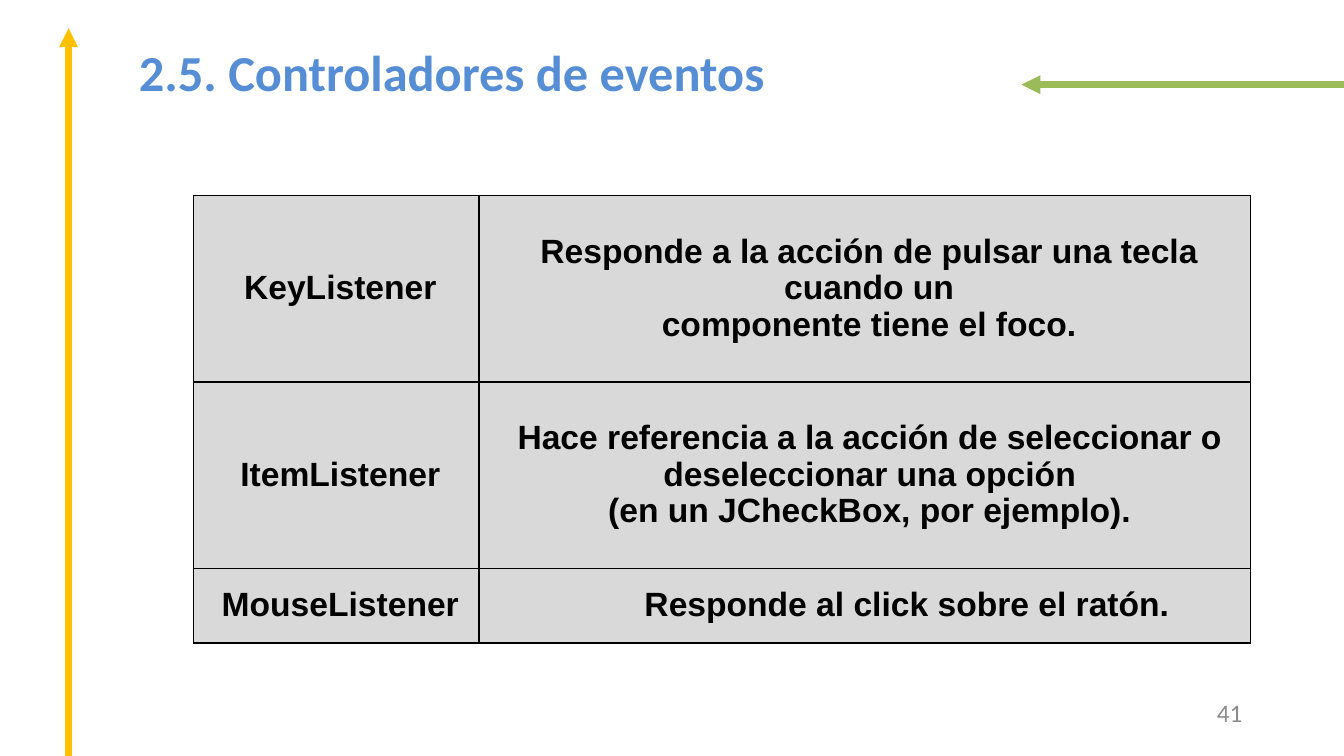
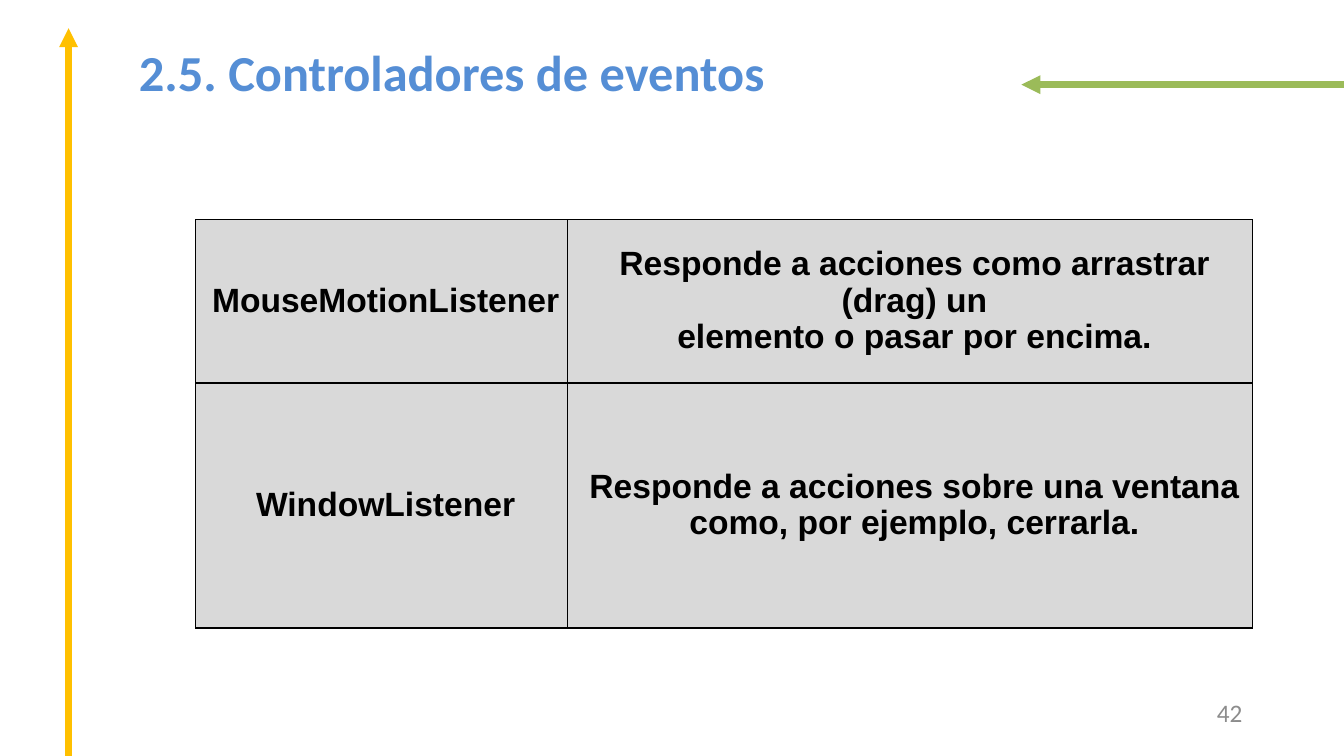
import pptx
import pptx.util
import pptx.dml.color
import pptx.enum.shapes
import pptx.enum.text
import pptx.oxml
import pptx.oxml.ns
from dataclasses import dataclass

ALIGN = pptx.enum.text.PP_ALIGN
MIDDLE = pptx.enum.text.MSO_ANCHOR.MIDDLE
NS = pptx.oxml.ns.nsdecls("a")


@dataclass(frozen=True)
class Theme:
    """Colours, fonts, sizes and slide measures shared by all slides."""
    wide: float = 13.33
    high: float = 7.5
    blue: str = "558ED5"
    green: str = "9BBB59"
    gold: str = "FFC000"
    gray: str = "8C8C8C"
    fill: str = "D9D9D9"
    ink: str = "000000"
    head: str = "Calibri"
    body: str = "Arial"
    title: int = 36
    cell: int = 24
    foot: int = 18
    arrow: float = 4.5
    edge: int = 1


THEME = Theme()
TITLE = "2.5. Controladores de eventos"
FIRST = 41
PAGES = [
    dict(box=(1.92, 1.94, 10.48, 4.44), cols=(2.83, 7.65), rows=(1.85, 1.85, 0.74), cells=[
        [("KeyListener", 0.08),
         ("Responde a la acción de pulsar una tecla cuando un\n"
          "componente tiene el foco.", 0.09)],
        [("ItemListener", 0.08),
         ("Hace referencia a la acción de seleccionar o deseleccionar una opción\n"
          "(en un JCheckBox, por ejemplo).", 0.1)],
        [("MouseListener", 0.08), ("Responde al click sobre el ratón.", 0.84)],
    ]),
    dict(box=(1.94, 2.18, 10.48, 4.05), cols=(3.69, 6.79), rows=(1.62, 2.43), cells=[
        [("MouseMotionListener", 0.08),
         ("Responde a acciones como arrastrar (drag) un\n"
          "elemento o pasar por encima.", 0.09)],
        [("WindowListener", 0.08),
         ("Responde a acciones sobre una ventana como, por ejemplo, cerrarla.", 0.09)],
    ]),
]


def inch(*sizes):
    """Turn numbers into lengths in inches."""
    return [pptx.util.Inches(size) for size in sizes]


def tint(code):
    """Turn a hex code into a colour."""
    return pptx.dml.color.RGBColor.from_string(code)


def write(frame, text, font, size, color, bold=False, align=ALIGN.LEFT, lead=1.0):
    """Fill a text frame with one paragraph for each line of text."""
    frame.word_wrap = True
    for num, line in enumerate(text.split("\n")):
        para = frame.add_paragraph() if num else frame.paragraphs[0]
        para.alignment = align
        para.line_spacing = lead
        run = para.add_run()
        run.text = line
        run.font.name = font
        run.font.size = pptx.util.Pt(size)
        run.font.bold = bold
        run.font.color.rgb = tint(color)


def label(slide, box, text, **form):
    """Place a vertically centred line of text in a box."""
    frame = slide.shapes.add_textbox(*inch(*box)).text_frame
    frame.vertical_anchor = MIDDLE
    write(frame, text, **form)


def arrow(slide, start, end, color):
    """Draw a thick line with an arrowhead at its end."""
    kind = pptx.enum.shapes.MSO_CONNECTOR.STRAIGHT
    line = slide.shapes.add_connector(kind, *inch(*start, *end))
    line.line.color.rgb = tint(color)
    line.line.width = pptx.util.Pt(THEME.arrow)
    line.line._get_or_add_ln().append(
        pptx.oxml.parse_xml(f'<a:tailEnd {NS} type="triangle"/>'))
    line._element.spPr.append(pptx.oxml.parse_xml(f"<a:effectLst {NS}/>"))


def frame(slide, number):
    """Place the arrows, the title and the page number of a slide."""
    wide, high = THEME.wide, THEME.high
    arrow(slide, (wide, 0.84), (0.76 * wide, 0.84), THEME.green)
    arrow(slide, (0.68, high), (0.68, 0.28), THEME.gold)
    label(slide, (wide - 3.91, high - 0.63, 3, 0.4), str(number), font=THEME.head,
          size=THEME.foot, color=THEME.gray, align=ALIGN.RIGHT)
    label(slide, (1.28, 0.28, wide - 1.28, 0.86), TITLE, font=THEME.head,
          size=THEME.title, color=THEME.blue, bold=True)


def border(cell):
    """Draw a thin line on all sides of a cell."""
    width = pptx.util.Pt(THEME.edge)
    for side in "LRTB":
        cell._tc.get_or_add_tcPr().append(pptx.oxml.parse_xml(
            f'<a:ln{side} {NS} w="{width}"><a:solidFill>'
            f'<a:srgbClr val="{THEME.ink}"/></a:solidFill></a:ln{side}>'))


def grid(slide, box, cols, rows, cells):
    """Place a table whose columns and rows share its box by weight."""
    table = slide.shapes.add_table(len(rows), len(cols), *inch(*box)).table
    table.first_row = table.horz_banding = False
    for col, part in zip(table.columns, cols):
        col.width = pptx.util.Inches(box[2] * part / sum(cols))
    for row, part, items in zip(table.rows, rows, cells):
        row.height = pptx.util.Inches(box[3] * part / sum(rows))
        for cell, (text, inset) in zip(row.cells, items):
            cell.margin_left = pptx.util.Inches(inset)
            cell.margin_right = cell.margin_top = cell.margin_bottom = 0
            cell.vertical_anchor = MIDDLE
            border(cell)
            cell.fill.solid()
            cell.fill.fore_color.rgb = tint(THEME.fill)
            write(cell.text_frame, text, font=THEME.body, size=THEME.cell,
                  color=THEME.ink, bold=True, align=ALIGN.CENTER, lead=0.97)


def main():
    """Build the slides and save them."""
    deck = pptx.Presentation()
    deck.slide_width, deck.slide_height = inch(THEME.wide, THEME.high)
    for number, page in enumerate(PAGES, FIRST):
        slide = deck.slides.add_slide(deck.slide_layouts[6])
        frame(slide, number)
        grid(slide, **page)
    deck.save("out.pptx")


if __name__ == "__main__":
    main()
